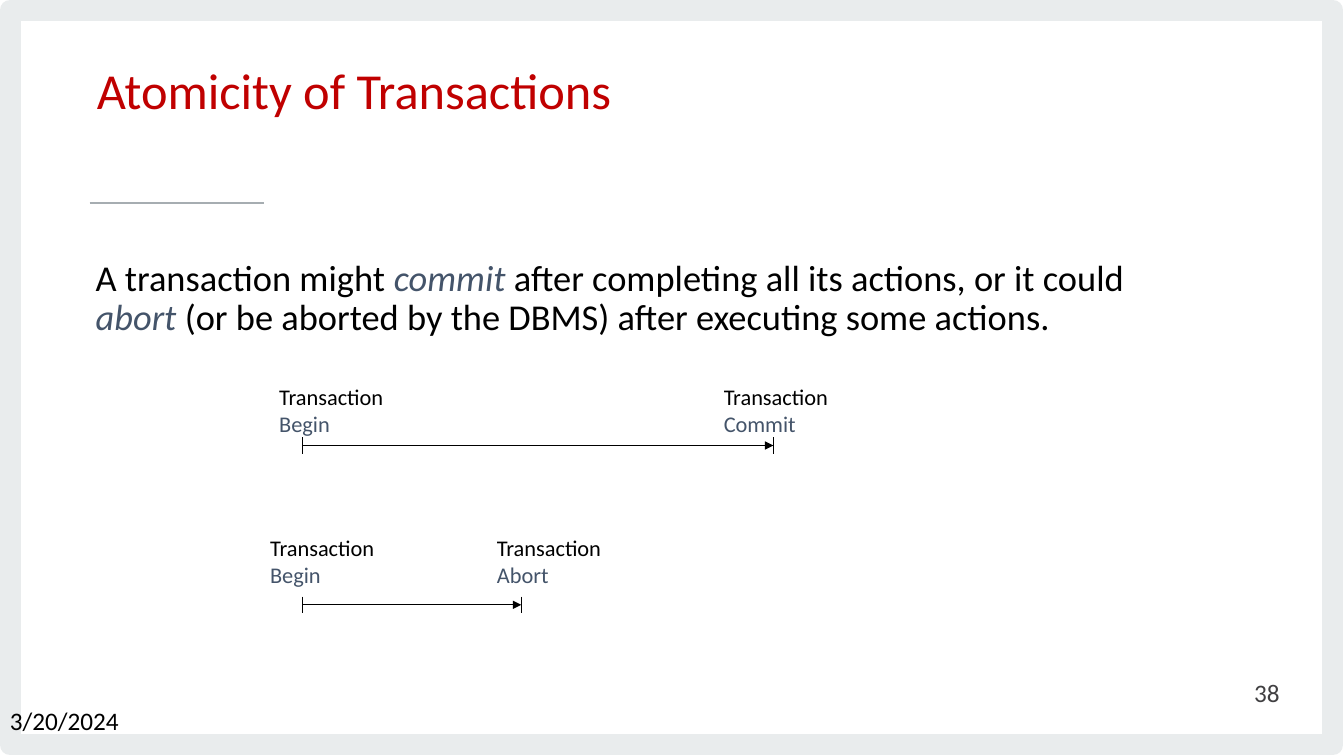
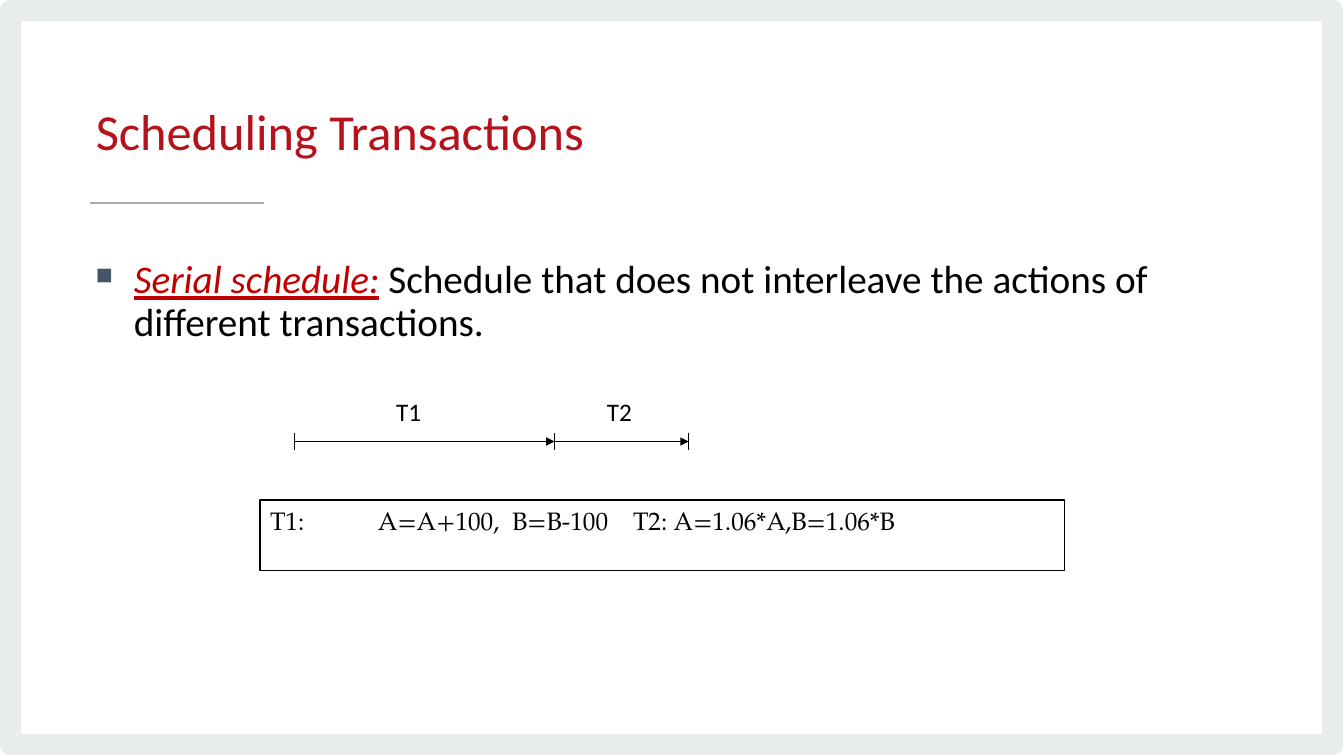
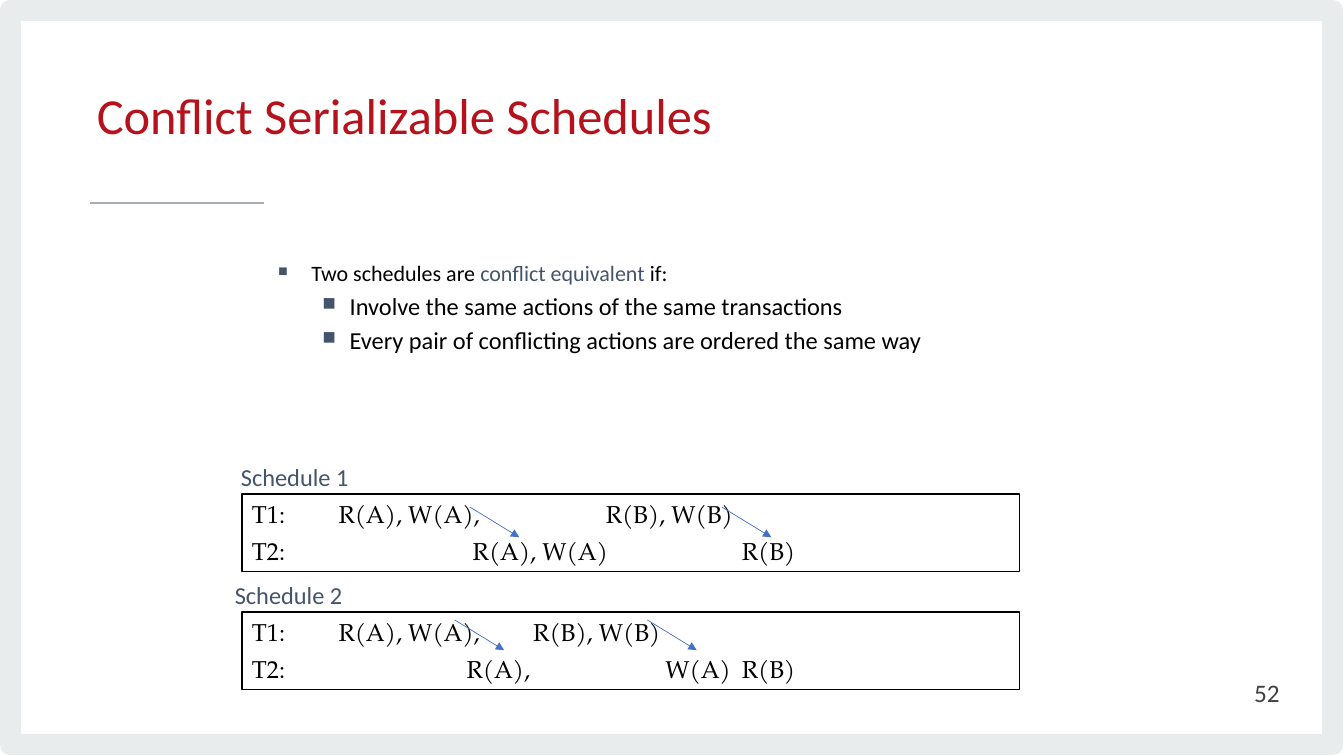
from dataclasses import dataclass
from itertools import pairwise

from lxml.etree import SubElement
from pptx import Presentation
from pptx.dml.color import RGBColor as Rgb
from pptx.enum.shapes import MSO_CONNECTOR as Link, MSO_SHAPE as Form
from pptx.enum.text import MSO_ANCHOR as Anchor, MSO_AUTO_SIZE as Fit, PP_ALIGN as Align
from pptx.oxml.ns import qn
from pptx.util import Pt

PX = 9144  # EMU per px, 100 px to the inch


@dataclass(frozen=True)
class Theme:
    sans: str = "Calibri"
    serif: str = "TeX Gyre Pagella"
    ink: str = "000000"
    slate: str = "44546A"
    red: str = "C00000"
    crimson: str = "B5121B"
    blue: str = "4472C4"
    grey: str = "414042"
    rule: str = "A6ADB1"
    frame: str = "E9ECED"
    title: float = 36
    large: float = 28
    lead: float = 26
    note: float = 18
    item: float = 17.4
    small: float = 15.7
    label: float = 16


T = Theme()
SLATE = {"color": T.slate}
ITALIC = {"color": T.slate, "italic": True}
TERM = {"color": T.red, "italic": True, "under": True}

# Slide 1
ATOMIC = {"text": "Atomicity of Transactions", "box": (86, 52, 879, 134),
          "color": T.red, "low": 53}
FATE = [["A transaction might ", ("commit ", ITALIC),
         "after completing all its actions, or it could ", ("abort ", ITALIC),
         "(or be aborted by the DBMS) after executing some actions."]]
EVENTS = [("Begin", 267, 375), ("Commit", 708, 375),
          ("Begin", 258, 525), ("Abort", 483, 525)]
SPANS = [(442, (300, 767)), (600, (300, 517))]

# Slide 2
SERIAL = {"text": "Scheduling Transactions", "box": (85, 92, 879, 134), "low": 53}
MEANING = [[("Serial schedule:", TERM),
            " Schedule that does not interleave the actions of different transactions."]]
STOPS = (292, 550, 683)
NAMES = [("T1", 383), ("T2", 592)]
STEPS = [("T1:", [(107, "A=A+100,"), (240, "B=B-100"), (360, "T2: A=1.06*A,B=1.06*B")])]

# Slide 3
CONFLICT = {"text": "Conflict Serializable Schedules", "box": (86, 52, 879, 134)}
CLAIM = ["Two schedules are ", ("conflict equivalent", SLATE), " if:"]
RULES = ["Involve the same actions of the same transactions",
         "Every pair of conflicting actions are ordered the same way"]
PLANS = [
    {"name": "Schedule 1", "left": 229, "top": 490, "arrows": [(466, 503), (716, 503)],
     "rows": [("T1:", [(86, "R(A), W(A),"), (351, "R(B), W(B)")]),
              ("T2:", [(219, "R(A), W(A)"), (486, "R(B)")])]},
    {"name": "Schedule 2", "left": 223, "top": 607, "arrows": [(451, 615), (642, 615)],
     "rows": [("T1:", [(86, "R(A), W(A),"), (279, "R(B), W(B)")]),
              ("T2:", [(213, "R(A),"), (410, "W(A)"), (486, "R(B)")])]},
]


def px(*nums):
    return [round(n * PX) for n in nums]


def sub(node, tag, **attrs):
    return SubElement(node, qn(tag), {k: str(v) for k, v in attrs.items()})


def mark(para, left, hang, scale):
    """Give a paragraph a hanging square bullet."""
    props = para._p.get_or_add_pPr()
    props.set("marL", str(left * PX))
    props.set("indent", str(-hang * PX))
    sub(sub(props, "a:buClr"), "a:srgbClr", val=T.slate)
    sub(props, "a:buSzPct", val=scale * 1000)
    sub(props, "a:buChar", char="■")


def write(shape, paras, *, size, font=T.sans, color=T.ink, align=Align.LEFT,
          anchor=Anchor.TOP, wrap=True, lead=None, before=0, after=0,
          bullet=None, tabs=(), low=5, more=False):
    """Fill a shape; each paragraph is a string or a list of runs.

    low is the bottom inset, tabs lists the stops of each paragraph,
    more adds to the text already there.
    """
    frame = shape.text_frame
    frame.auto_size, frame.word_wrap = Fit.NONE, wrap
    frame.vertical_anchor = anchor
    frame.margin_left = frame.margin_right = 10 * PX
    frame.margin_top, frame.margin_bottom = px(5, low)
    for n, runs in enumerate(paras):
        first = n == 0 and not more
        para = frame.paragraphs[0] if first else frame.add_paragraph()
        if bullet:
            mark(para, *bullet)
        if tabs:
            stops = sub(para._p.get_or_add_pPr(), "a:tabLst")
            for pos in tabs[n]:
                sub(stops, "a:tab", pos=pos * PX, algn="l")
        para.alignment = align
        para.space_before, para.space_after = Pt(0 if first else before), Pt(after)
        if lead:
            para.line_spacing = lead
        for part in [runs] if isinstance(runs, str) else runs:
            text, style = (part, {}) if isinstance(part, str) else part
            run = para.add_run()
            run.text = text
            face = run.font
            face.name, face.size, face.bold = font, Pt(size), False
            face.italic = style.get("italic", False)
            face.underline = style.get("under", False)
            face.color.rgb = Rgb.from_string(style.get("color", color))
    return shape


def text(slide, box, paras, **style):
    return write(slide.shapes.add_textbox(*px(*box)), paras, **style)


def line(slide, start, end, color=T.ink, width=0.75, arrow=False):
    link = slide.shapes.add_connector(Link.STRAIGHT, *px(*start, *end))
    link.line.color.rgb = Rgb.from_string(color)
    link.line.width = Pt(width)
    if arrow:
        sub(link.line._get_or_add_ln(), "a:tailEnd", type="triangle")
    sub(link._element.spPr, "a:effectLst")


def rect(slide, box, color=T.ink, width=1.0):
    shape = slide.shapes.add_shape(Form.RECTANGLE, *px(*box))
    shape.shadow.inherit = False
    shape.fill.background()
    shape.line.color.rgb = Rgb.from_string(color)
    shape.line.width = Pt(width)
    return shape


def span(slide, y, stops):
    """Draw a time line: a tick at each stop, an arrow to the next."""
    for x, end in pairwise(stops):
        line(slide, (x, y), (end, y), arrow=True)
    for x in stops:
        line(slide, (x, y - 8), (x, y + 8))


def table(slide, box, rows, **style):
    """Draw a box whose rows are set out on tab stops."""
    paras = ["\t".join([head, *(cell for _, cell in cells)]) for head, cells in rows]
    tabs = [[pos for pos, _ in cells] for _, cells in rows]
    write(rect(slide, box), paras, font=T.serif, tabs=tabs, **style)


def page(deck, head, num=None):
    """Add a slide with the shared frame, rule, title and number."""
    slide = deck.slides.add_slide(deck.slide_layouts[5])
    edge = rect(slide, (10, 10, 1312, 729), T.frame, 15.11)
    sub(edge.line._get_or_add_ln(), "a:round")
    line(slide, (89, 201), (262, 201), T.rule, 1.33)
    title = slide.shapes.title
    title.left, title.top, title.width, title.height = px(*head["box"])
    write(title, [head["text"]], size=T.title, color=head.get("color", T.crimson),
          anchor=Anchor.MIDDLE, lead=Pt(34.7), low=head.get("low", 5))
    if num:
        text(slide, (979, 667, 300, 40), [num], size=T.note, color=T.grey,
             align=Align.RIGHT, anchor=Anchor.MIDDLE)
    return slide


def atomic(deck):
    slide = page(deck, ATOMIC, "38")
    text(slide, (85, 253, 1065, 422), FATE, size=T.lead, lead=0.9)
    text(slide, (0, 695, 300, 40), ["3/20/2024"], size=T.note)
    for name, x, y in EVENTS:
        text(slide, (x, y, 125, 64), ["Transaction", [(name, SLATE)]],
             size=T.label, wrap=False)
    for y, stops in SPANS:
        span(slide, y, stops)


def serial(deck):
    slide = page(deck, SERIAL)
    text(slide, (85, 253, 1065, 422), MEANING, size=T.large, lead=0.9,
         bullet=(38, 38, 60))
    span(slide, 438, STOPS)
    for name, x in NAMES:
        text(slide, (x, 388, 45, 40), [name], size=T.note, wrap=False)
    table(slide, (258, 496, 798, 70), STEPS, size=T.note)


def conflict(deck):
    slide = page(deck, CONFLICT, "52")
    body = text(slide, (266, 253, 746, 139), [CLAIM], size=T.small, bullet=(33, 33, 60))
    write(body, RULES, size=T.item, before=3.5, bullet=(71, 27, 75), more=True)
    for plan in PLANS:
        top = plan["top"]
        table(slide, (240, top, 771, 77), plan["rows"], size=T.item, after=6)
        text(slide, (plan["left"], top - 36, 128, 39), [plan["name"]],
             size=T.item, color=T.slate, wrap=False)
        for x, y in plan["arrows"]:
            line(slide, (x, y), (x + 49, y + 30), T.blue, 0.5, arrow=True)


def main():
    deck = Presentation()
    deck.slide_width, deck.slide_height = px(1333, 750)
    for build in (atomic, serial, conflict):
        build(deck)
    deck.save("out.pptx")


if __name__ == "__main__":
    main()
